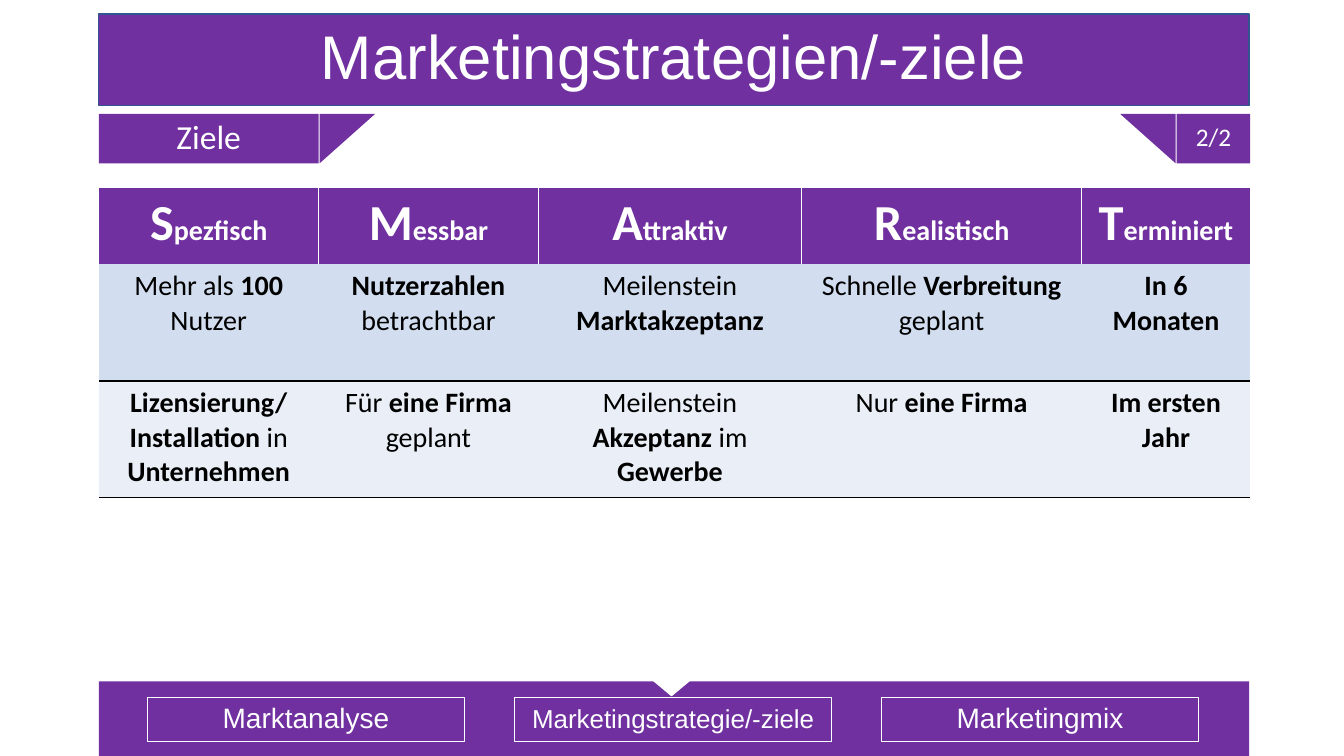
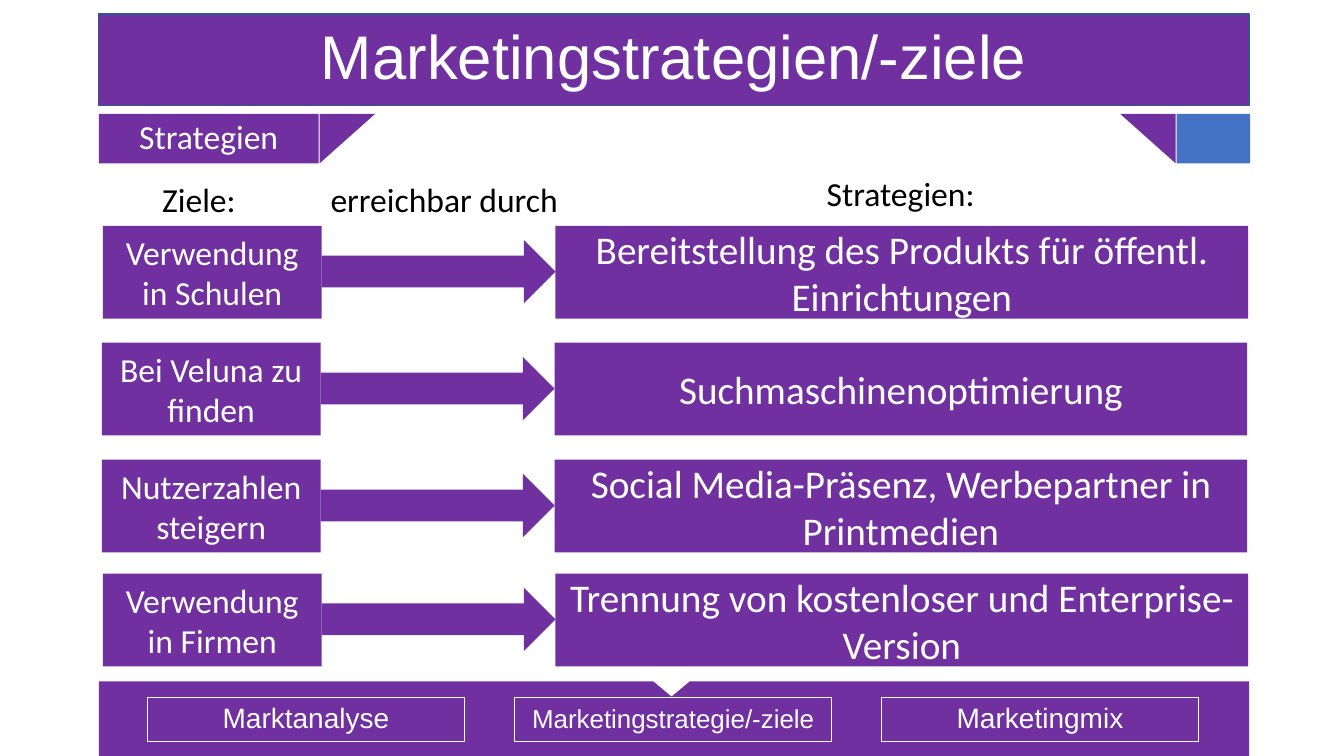
from lxml import etree
from pptx import Presentation
from pptx import util as u
from pptx.dml.color import RGBColor
from pptx.enum import shapes, text
from pptx.oxml import ns

PURPLE = RGBColor(0x70, 0x30, 0xA0)
BLUE = RGBColor(0x44, 0x72, 0xC4)
NAVY = RGBColor(0x32, 0x54, 0x91)
WHITE = RGBColor(0xFF, 0xFF, 0xFF)
BLACK = RGBColor(0, 0, 0)
BAND_DARK = RGBColor(0xD2, 0xDE, 0xEF)
BAND_LIGHT = RGBColor(0xEA, 0xEF, 0xF7)
HEAD_FONT, BODY_FONT = "Arial", "Calibri"
PLAIN_TABLE = "{2D5ABB26-0587-4C30-8999-92F81FD0307C}"
KIND = shapes.MSO_SHAPE
LEFT, WIDTH = 0.98, 11.41
TAG_TOP, TAG_HEIGHT = 1.13, 0.49
STEPS = [("Marktanalyse", 20), ("Marketingstrategie/-ziele", 18.5), ("Marketingmix", 20)]


class Designer:
    def __init__(self, deck):
        self.deck = deck
        self.page = None

    def start_page(self, title, topic, number=None):
        self.page = self.deck.slides.add_slide(self.deck.slide_layouts[6])
        self.shape((LEFT, 6.76, WIDTH, 0.74))
        self.shape((6.48, 6.75, 0.36, 0.15), KIND.ISOSCELES_TRIANGLE, WHITE, WHITE, 1, turn=180)
        self.shape((3.2, 1.1, 0.49, 0.55), KIND.RIGHT_TRIANGLE, turn=90)
        self.shape((11.11, TAG_TOP, 0.55, TAG_HEIGHT), KIND.RIGHT_TRIANGLE, turn=180)
        self.label(title, (LEFT, 0.14, WIDTH, 0.91), 44, HEAD_FONT, line=NAVY, weight=1)
        for index, (step, size) in enumerate(STEPS):
            self.label(step, (1.46 + 3.64 * index, 6.92, 3.15, 0.44), size, HEAD_FONT,
                       fill=None, line=WHITE, weight=0.75)
        self.label(topic, (LEFT, TAG_TOP, 2.18, TAG_HEIGHT), 24)
        corner = (11.67, TAG_TOP, 0.73, TAG_HEIGHT)
        if number:
            self.label(number, corner, 18)
        else:
            self.shape(corner, fill=BLUE)

    def shape(self, place, kind=KIND.RECTANGLE, fill=PURPLE, line=None, weight=1, turn=0):
        box = self.page.shapes.add_shape(kind, *map(u.Inches, place))
        box.shadow.inherit = False
        box.rotation = turn
        if fill is None:
            box.fill.background()
        else:
            box.fill.solid()
            box.fill.fore_color.rgb = fill
        if line is None:
            box.line.fill.background()
        else:
            box.line.color.rgb = line
            box.line.width = u.Pt(weight)
        return box

    def label(self, words, place, size, font=BODY_FONT, spacing=0.9, **look):
        frame = self.shape(place, **look).text_frame
        frame.word_wrap = True
        frame.vertical_anchor = text.MSO_ANCHOR.MIDDLE
        para = frame.paragraphs[0]
        para.alignment = text.PP_ALIGN.CENTER
        para.line_spacing = spacing
        self.span(para, words, size, WHITE, font)

    def caption(self, words, place):
        frame = self.page.shapes.add_textbox(*map(u.Inches, place)).text_frame
        frame.word_wrap = False
        frame.auto_size = text.MSO_AUTO_SIZE.SHAPE_TO_FIT_TEXT
        self.span(frame.paragraphs[0], words, 24, BLACK)

    def span(self, para, words, size, color, font=BODY_FONT, bold=False):
        span = para.add_run()
        span.text = words
        span.font.size = u.Pt(size)
        span.font.name = font
        span.font.bold = bold
        span.font.color.rgb = color

    def border(self, cell, sides, color):
        props = cell._tc.get_or_add_tcPr()
        for side in sides:
            line = etree.SubElement(props, ns.qn("a:ln" + side), w=str(u.Pt(1)))
            fill = etree.SubElement(line, ns.qn("a:solidFill"))
            etree.SubElement(fill, ns.qn("a:srgbClr"), val=str(color))

    def cell(self, cell, paras, fill, color, sides, edge):
        self.border(cell, sides, edge)
        cell.fill.solid()
        cell.fill.fore_color.rgb = fill
        frame = cell.text_frame
        for index, spans in enumerate(paras):
            para = frame.add_paragraph() if index else frame.paragraphs[0]
            para.alignment = text.PP_ALIGN.CENTER
            for words, size, bold in spans:
                self.span(para, words, size, color, bold=bold)

    def table(self, place, widths, heights, headings, rows):
        grid = self.page.shapes.add_table(len(heights), len(widths), *map(u.Inches, place)).table
        grid._tbl.tblPr.find(ns.qn("a:tableStyleId")).text = PLAIN_TABLE
        for column, width in zip(grid.columns, widths):
            column.width = u.Inches(width)
        for row, height in zip(grid.rows, heights):
            row.height = u.Inches(height)
        for col, word in enumerate(headings):
            initial = [(word[0], 36, True), (word[1:], 20, True)]
            self.cell(grid.cell(0, col), [initial], PURPLE, WHITE, "LRT", WHITE)
        for number, row in enumerate(rows, 1):
            fill, sides = (BAND_DARK, "B") if number % 2 else (BAND_LIGHT, "TB")
            for col, paras in enumerate(row):
                sized = [[(words, 20, bold) for words, bold in spans] for spans in paras]
                self.cell(grid.cell(number, col), sized, fill, BLACK, sides, BLACK)


def plain(words):
    return words, False


def strong(words):
    return words, True


deck = Presentation()
deck.slide_width, deck.slide_height = u.Inches(13.33), u.Inches(7.5)
designer = Designer(deck)
TITLE = "Marketingstrategien/-ziele"

designer.start_page(TITLE, "Ziele", "2/2")
goals = [
    [
        [[plain("Mehr als "), strong("100"), plain(" Nutzer")]],
        [[strong("Nutzerzahlen")], [plain("betrachtbar")]],
        [[plain("Meilenstein "), strong("Marktakzeptanz")]],
        [[plain("Schnelle"), strong(" Verbreitung\v"), plain("geplant")]],
        [[strong("In 6 Monaten")]],
    ],
    [
        [[strong("Lizensierung/ Installation"), plain(" in "), strong("Unternehmen")]],
        [[plain("Für "), strong("eine Firma"), plain(" geplant")]],
        [[plain("Meilenstein")], [strong("Akzeptanz"), plain(" im "), strong("Gewerbe")]],
        [[plain("Nur "), strong("eine Firma")]],
        [[strong("Im ersten Jahr")]],
    ],
]
for row in goals:
    for paras in row:
        for spans in paras:
            for index, (words, bold) in enumerate(spans):
                spans[index] = (words, bold)
goals[0][3] = [[plain("Schnelle"), strong(" Verbreitung")], [plain("geplant")]]
designer.table((LEFT, 1.86, 11.42, 3.08), [2.18, 2.18, 2.61, 2.78, 1.67], [0.76, 1.16, 1.16],
               ["Spezfisch", "Messbar", "Attraktiv", "Realistisch", "Terminiert"], goals)

designer.start_page(TITLE, "Strategien")
designer.caption("Ziele:", (1.51, 1.73, 0.94, 0.5))
designer.caption("erreichbar durch", (3.18, 1.73, 2.57, 0.5))
designer.caption("Strategien:", (8.1, 1.67, 1.68, 0.5))
strategies = [
    (1.02, 2.24, "Verwendung in Schulen", "Bereitstellung des Produkts für öffentl. Einrichtungen"),
    (1.01, 3.4, "Bei Veluna zu finden", "Suchmaschinenoptimierung"),
    (1.01, 4.56, "Nutzerzahlen steigern", "Social Media-Präsenz, Werbepartner in Printmedien"),
    (1.02, 5.69, "Verwendung in Firmen", "Trennung von kostenloser und Enterprise-Version"),
]
for left, top, goal, strategy in strategies:
    designer.label(goal, (left, top, 2.17, 0.92), 24, spacing=1)
    designer.shape((left + 2.17, top + 0.14, 2.32, 0.63), KIND.RIGHT_ARROW)
    designer.label(strategy, (left + 4.49, top, 6.87, 0.92), 28, spacing=1)

deck.save("out.pptx")
